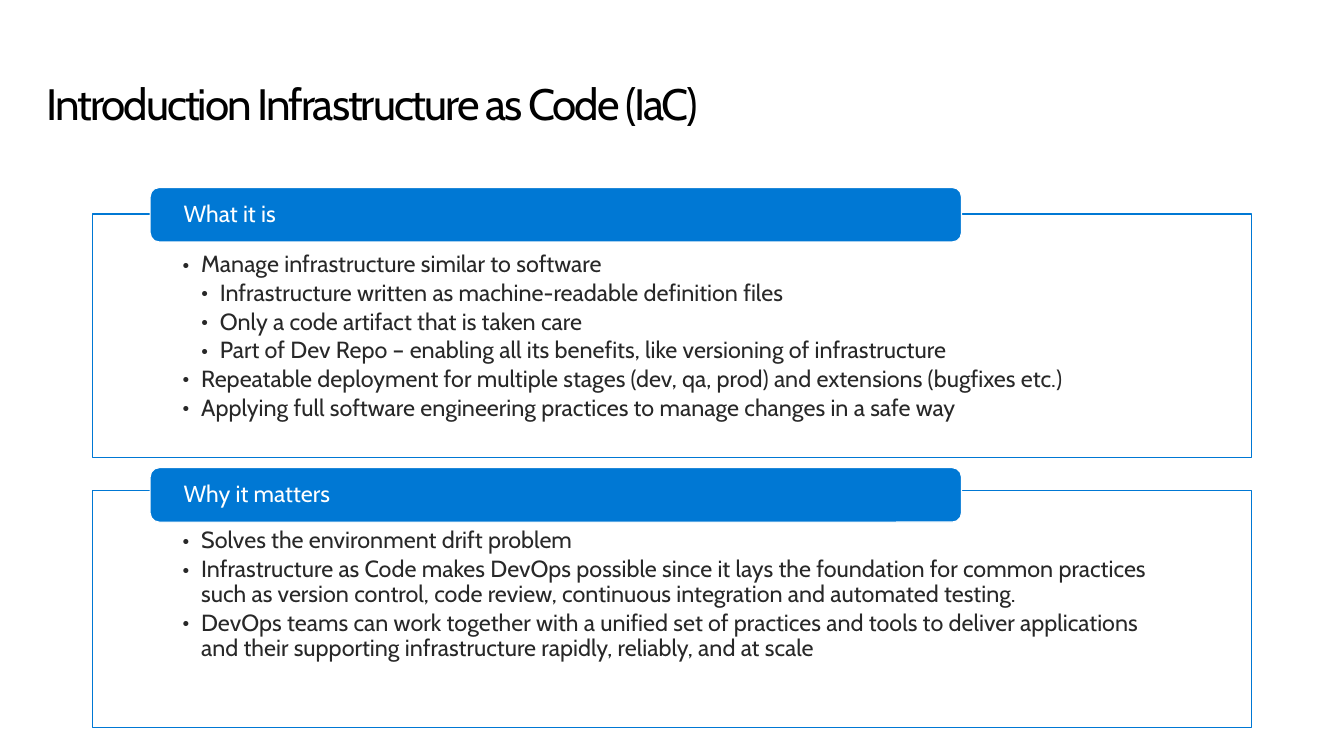
"""Build a slide that introduces Infrastructure as Code in two titled boxes."""
import lxml.etree
import pptx
import pptx.dml.color
import pptx.enum.shapes
import pptx.enum.text
import pptx.oxml.ns
import pptx.util

Cm = pptx.util.Cm
Pt = pptx.util.Pt
RGB = pptx.dml.color.RGBColor
KIND = pptx.enum.shapes.MSO_SHAPE
ALIGN = pptx.enum.text.PP_ALIGN
ANCHOR = pptx.enum.text.MSO_ANCHOR
qn = pptx.oxml.ns.qn

BLUE = RGB(0x00, 0x78, 0xD4)
WHITE = RGB(0xFF, 0xFF, 0xFF)
BLACK = RGB(0x00, 0x00, 0x00)
GREY = RGB(0x28, 0x28, 0x28)
FONT = "Cabin"
INDENT = 0.48

PANELS = [
    ("What it is", 4.82, 5.5, 6.25, [
        (1, "Manage infrastructure similar to software"),
        (2, "Infrastructure written as machine-readable definition files"),
        (2, "Only a code artifact that is taken care"),
        (2, "Part of Dev Repo – enabling all its benefits, like versioning of infrastructure"),
        (1, "Repeatable deployment for multiple stages (dev, qa, prod) and extensions (bugfixes etc.)"),
        (1, "Applying full software engineering practices to manage changes in a safe way"),
    ]),
    ("Why it matters", 12.02, 12.6, 6.1, [
        (1, "Solves the environment drift problem"),
        (1, "Infrastructure as Code makes DevOps possible since it lays the foundation for common "
            "practices such as version control, code review, continuous integration and automated testing."),
        (1, "DevOps teams can work together with a unified set of practices and tools to deliver "
            "applications and their supporting infrastructure rapidly, reliably, and at scale"),
    ]),
]


def set_frame(shape, anchor, left, top, right, bottom):
    frame = shape.text_frame
    frame.word_wrap = True
    frame.vertical_anchor = anchor
    frame.margin_left, frame.margin_top = Cm(left), Cm(top)
    frame.margin_right, frame.margin_bottom = Cm(right), Cm(bottom)
    return frame


def add_text(para, text, size, color):
    para.alignment = ALIGN.LEFT
    para.line_spacing = 0.9
    run = para.add_run()
    run.text = text
    run.font.name = FONT
    run.font.size = Pt(size)
    run.font.color.rgb = color
    return run


deck = pptx.Presentation()
deck.slide_width, deck.slide_height = Cm(34.54), Cm(19.43)
slide = deck.slides.add_slide(deck.slide_layouts[6])

title = slide.shapes.add_textbox(Cm(1.2), Cm(1.24), Cm(32.13), Cm(2.11))
frame = set_frame(title, ANCHOR.BOTTOM, 0, 0.46, 0, 0)
run = add_text(frame.paragraphs[0], "Introduction Infrastructure as Code (IaC)", 32, BLACK)
run.font._element.set("spc", "-150")

for label, head_top, box_top, height, items in PANELS:
    box = slide.shapes.add_shape(KIND.RECTANGLE, Cm(2.38), Cm(box_top), Cm(29.79), Cm(height))
    head = slide.shapes.add_shape(KIND.ROUNDED_RECTANGLE, Cm(3.86), Cm(head_top), Cm(20.85), Cm(1.4))
    for shape, fill, line in ((box, WHITE, BLUE), (head, BLUE, WHITE)):
        shape.shadow.inherit = False
        shape.fill.solid()
        shape.fill.fore_color.rgb = fill
        shape.line.color.rgb = line
        shape.line.width = Pt(0.85)
    tint = box._element.spPr.find(qn("a:solidFill"))[0]
    lxml.etree.SubElement(tint, qn("a:alpha"), val="90000")

    frame = set_frame(head, ANCHOR.MIDDLE, 0.79, 0, 0.79, 0)
    add_text(frame.paragraphs[0], label, 17, WHITE)

    frame = set_frame(box, ANCHOR.TOP, 2.31, 0.99, 2.31, 0.33)
    for i, (level, text) in enumerate(items):
        para = frame.add_paragraph() if i else frame.paragraphs[0]
        para.level = level
        para.space_after = Pt(2.55)
        add_text(para, text, 17, GREY)
        props = para._p.get_or_add_pPr()
        props.set("marL", str(Cm(INDENT * level)))
        props.set("indent", str(-Cm(INDENT)))
        lxml.etree.SubElement(props, qn("a:buFont"), typeface=FONT)
        lxml.etree.SubElement(props, qn("a:buChar"), char="•")

deck.save("out.pptx")
